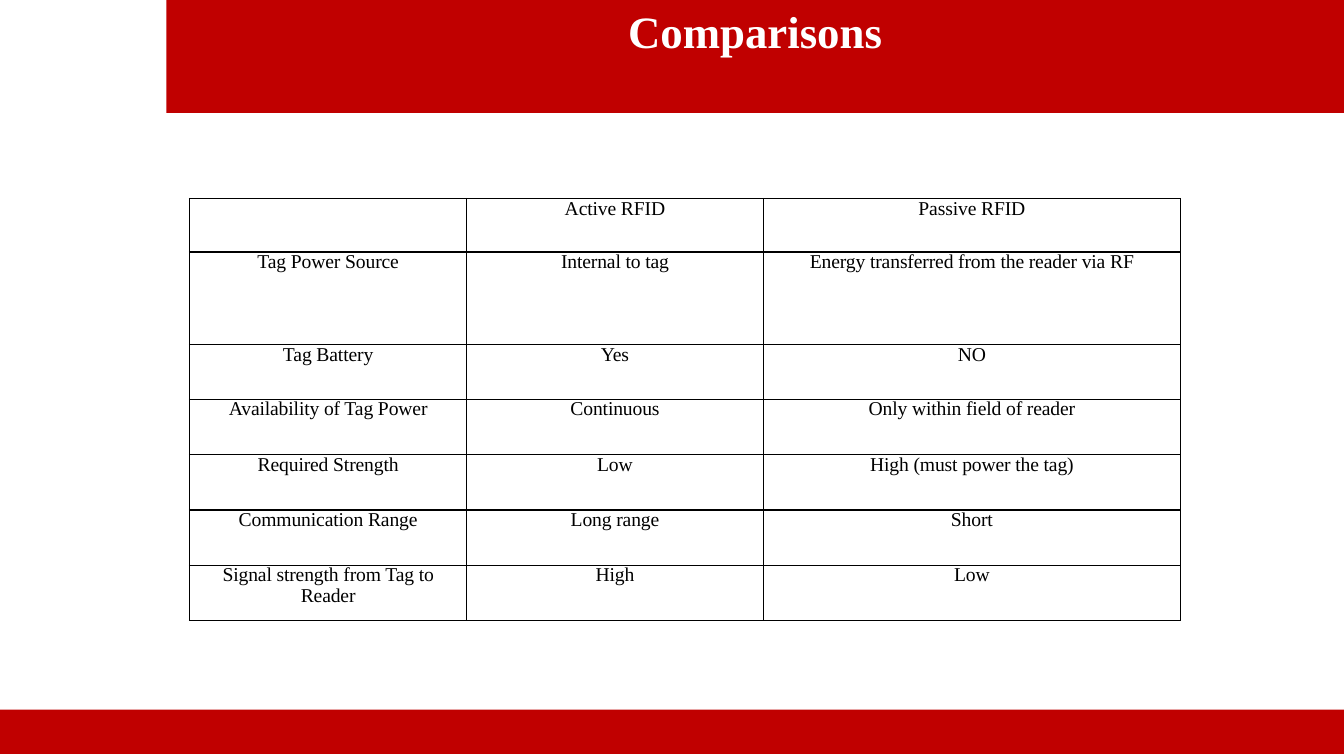
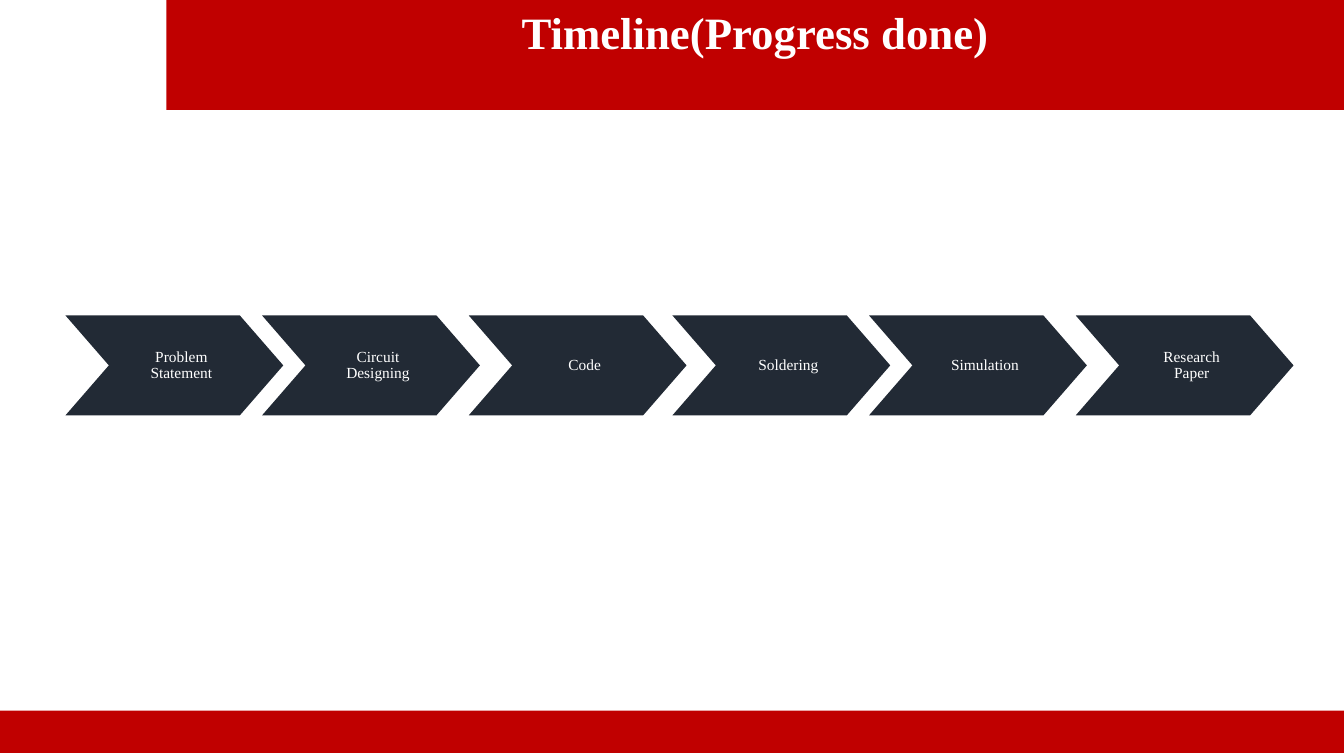
"""Build the RFID comparison and project timeline slides."""
import pptx
import pptx.dml.color
import pptx.enum.shapes
import pptx.enum.text
import pptx.oxml
import pptx.oxml.ns
import pptx.util
from dataclasses import dataclass

Inches = pptx.util.Inches
Pt = pptx.util.Pt
RGB = pptx.dml.color.RGBColor
PRESETS = pptx.enum.shapes.MSO_SHAPE
ANCHORS = pptx.enum.text.MSO_ANCHOR

COMPARISON_ROWS = [
    ("", "Active RFID", "Passive RFID"),
    ("Tag Power Source", "Internal to tag", "Energy transferred from the reader via RF"),
    ("Tag Battery", "Yes", "NO"),
    ("Availability of Tag Power", "Continuous", "Only within field of reader"),
    ("Required Strength", "Low", "High (must power the tag)"),
    ("Communication Range", "Long range", "Short"),
    ("Signal strength from Tag to Reader", "High", "Low"),
]
COLUMN_WIDTHS = [2.75, 2.94, 4.14]
ROW_HEIGHTS = [0.53, 0.92, 0.54] + [0.55] * 4

STAGE_GROUPS = [
    (0.65, ["Problem Statement", "Circuit Designing", "Code"]),
    (6.67, ["Soldering", "Simulation", "Research Paper"]),
]
STAGE_OFFSETS = [0, 1.95, 4]


@dataclass(frozen=True)
class Theme:
    font: str = "Times New Roman"
    band: str = "C00000"
    stage: str = "222A35"
    light: str = "FFFFFF"
    dark: str = "000000"
    title_size: int = 32
    table_size: int = 14
    stage_size: int = 11
    slide_width: float = 13.33
    slide_height: float = 7.5
    title_left: float = 1.65


THEME = Theme()


def add_filled_shape(slide, preset, left, top, width, height, color):
    shape = slide.shapes.add_shape(
        preset, Inches(left), Inches(top), Inches(width), Inches(height))
    shape.shadow.inherit = False
    shape.fill.solid()
    shape.fill.fore_color.rgb = RGB.from_string(color)
    shape.line.fill.background()
    return shape


def write_centered(frame, text, size, color, bold=False, line_spacing=None):
    frame.word_wrap = True
    paragraph = frame.paragraphs[0]
    paragraph.alignment = pptx.enum.text.PP_ALIGN.CENTER
    if line_spacing:
        paragraph.line_spacing = line_spacing
    run = paragraph.add_run()
    run.text = text
    run.font.name = THEME.font
    run.font.size = Pt(size)
    run.font.bold = bold
    run.font.color.rgb = RGB.from_string(color)
    return run


def add_framed_slide(deck, title, title_top, title_height, footer_top, footer_height):
    slide = deck.slides.add_slide(deck.slide_layouts[6])
    header = add_filled_shape(
        slide, PRESETS.RECTANGLE, THEME.title_left, title_top,
        THEME.slide_width - THEME.title_left, title_height, THEME.band)
    header.text_frame.vertical_anchor = ANCHORS.TOP
    write_centered(header.text_frame, title, THEME.title_size, THEME.light, bold=True)
    add_filled_shape(slide, PRESETS.RECTANGLE, 0, footer_top,
                     THEME.slide_width, footer_height, THEME.band)
    return slide


def style_cell(cell):
    cell.margin_left = cell.margin_right = Inches(0.07)
    cell.margin_top = cell.margin_bottom = 0
    properties = cell._tc.get_or_add_tcPr()
    for edge in ("lnL", "lnR", "lnT", "lnB"):
        properties.append(pptx.oxml.parse_xml(
            f'<a:{edge} {pptx.oxml.ns.nsdecls("a")} w="{Pt(1)}"><a:solidFill>'
            f'<a:srgbClr val="{THEME.dark}"/></a:solidFill></a:{edge}>'))
    cell.fill.solid()
    cell.fill.fore_color.rgb = RGB.from_string(THEME.light)


def add_comparison_table(slide):
    table = slide.shapes.add_table(
        len(ROW_HEIGHTS), len(COLUMN_WIDTHS), Inches(1.88), Inches(1.97),
        Inches(sum(COLUMN_WIDTHS)), Inches(sum(ROW_HEIGHTS))).table
    table.first_row = table.horz_banding = False
    for column, width in zip(table.columns, COLUMN_WIDTHS):
        column.width = Inches(width)
    for row, height, texts in zip(table.rows, ROW_HEIGHTS, COMPARISON_ROWS):
        row.height = Inches(height)
        for cell, text in zip(row.cells, texts):
            style_cell(cell)
            if text:
                run = write_centered(cell.text_frame, text, THEME.table_size,
                                     THEME.dark, line_spacing=0.95)
                run.font._element.set("spc", "-10")
                cell.text_frame.paragraphs[0].space_after = Pt(6)


def add_stage(slide, left, text):
    width, height, point = 2.16, 0.99, 0.43
    stage = add_filled_shape(slide, PRESETS.CHEVRON, left, 3.13, width, height, THEME.stage)
    stage.adjustments[0] = point / height
    frame = stage.text_frame
    frame.margin_left, frame.margin_right = Inches(0.36), Inches(0.22)
    frame.margin_top = frame.margin_bottom = Inches(0.07)
    frame.vertical_anchor = ANCHORS.MIDDLE
    write_centered(frame, text, THEME.stage_size, THEME.light, line_spacing=0.9)


def main():
    deck = pptx.Presentation()
    deck.slide_width = Inches(THEME.slide_width)
    deck.slide_height = Inches(THEME.slide_height)
    comparisons = add_framed_slide(deck, "Comparisons", -0.01, 1.13, 7.04, 0.44)
    add_comparison_table(comparisons)
    timeline = add_framed_slide(deck, "Timeline(Progress done)", 0, 1.09, 7.05, 0.42)
    for group_left, stages in STAGE_GROUPS:
        for offset, stage in zip(STAGE_OFFSETS, stages):
            add_stage(timeline, group_left + offset, stage)
    deck.save("out.pptx")


if __name__ == "__main__":
    main()
